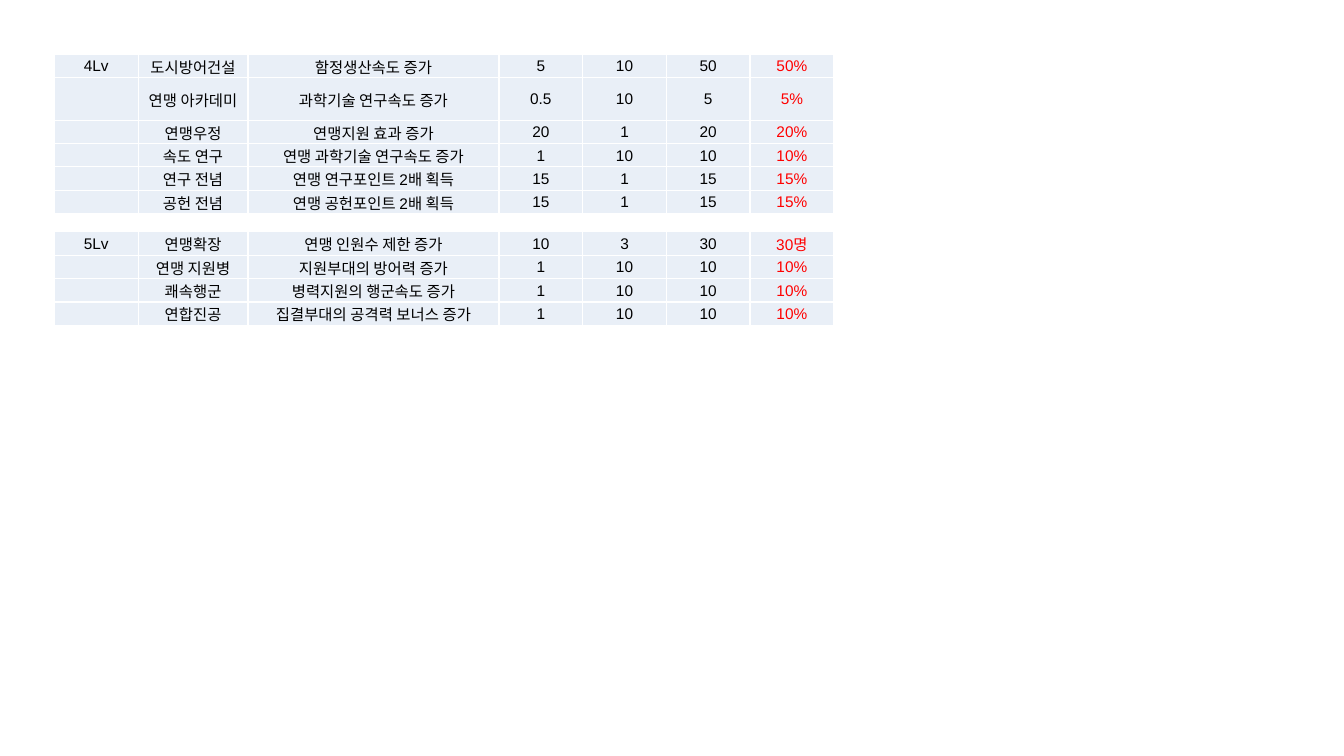
import dataclasses

import pptx
import pptx.dml.color
import pptx.enum.text
import pptx.oxml.ns
import pptx.util
from lxml import etree

Inches = pptx.util.Inches
Pt = pptx.util.Pt
qn = pptx.oxml.ns.qn


@dataclasses.dataclass(frozen=True)
class Theme:
    font: str = "Arial"
    size: int = 11
    text: str = "000000"
    accent: str = "FF0000"
    cell: str = "E9EFF7"
    border: str = "FFFFFF"
    border_width: int = 1


class Deck:
    """Holds the style and the current slide."""

    def __init__(self, prs, theme):
        self.theme = theme
        self.slide = prs.slides.add_slide(prs.slide_layouts[6])

    def table(self, left, top, widths, heights, rows):
        frame = self.slide.shapes.add_table(
            len(rows), len(widths), Inches(left), Inches(top),
            Inches(sum(widths)), Inches(sum(heights)))
        table = frame.table
        table.first_row = table.horz_banding = False
        for column, width in zip(table.columns, widths):
            column.width = Inches(width)
        # The last column is accented
        colors = [self.theme.text] * (len(widths) - 1) + [self.theme.accent]
        for row, height, values in zip(table.rows, heights, rows):
            row.height = Inches(height)
            for cell, value, color in zip(row.cells, values, colors):
                self.cell(cell, value, color)

    def cell(self, cell, text, color):
        self.borders(cell)
        cell.fill.solid()
        cell.fill.fore_color.rgb = pptx.dml.color.RGBColor.from_string(self.theme.cell)
        cell.vertical_anchor = pptx.enum.text.MSO_ANCHOR.MIDDLE
        cell.margin_left = cell.margin_top = cell.margin_right = Inches(0.01)
        cell.margin_bottom = 0
        cell.text_frame.text = text
        p = cell.text_frame.paragraphs[0]
        p.alignment = pptx.enum.text.PP_ALIGN.CENTER
        for r in p.runs:
            r.font.name = self.theme.font
            r.font.size = Pt(self.theme.size)
            r.font.color.rgb = pptx.dml.color.RGBColor.from_string(color)
        if not text:
            # An empty cell keeps the text size, so its row stays low
            etree.SubElement(p._p, qn("a:endParaRPr"), sz=str(self.theme.size * 100))

    def borders(self, cell):
        tc_pr = cell._tc.get_or_add_tcPr()
        for side in "LRTB":
            line = etree.SubElement(tc_pr, qn(f"a:ln{side}"),
                                    w=str(int(Pt(self.theme.border_width))))
            fill = etree.SubElement(line, qn("a:solidFill"))
            etree.SubElement(fill, qn("a:srgbClr"), val=self.theme.border)


def skill_rows(level, skills):
    """Total is the gain per step times the number of steps."""
    rows = []
    for i, (name, effect, gain, steps, unit) in enumerate(skills):
        total = f"{gain * steps:g}"
        rows.append([level if i == 0 else "", name, effect,
                     f"{gain:g}", str(steps), total, total + unit])
    return rows


LEFT = 0.54
WIDTHS = [0.83, 1.09, 2.49] + [0.83] * 4
ROW = 0.21

# Skills: name, effect, gain per step, steps, unit
LEVEL_4 = [
    ("도시방어건설", "함정생산속도 증가", 5, 10, "%"),
    ("연맹 아카데미", "과학기술 연구속도 증가", 0.5, 10, "%"),
    ("연맹우정", "연맹지원 효과 증가", 20, 1, "%"),
    ("속도 연구", "연맹 과학기술 연구속도 증가", 1, 10, "%"),
    ("연구 전념", "연맹 연구포인트 2배 획득", 15, 1, "%"),
    ("공헌 전념", "연맹 공헌포인트 2배 획득", 15, 1, "%"),
]
LEVEL_5 = [
    ("연맹확장", "연맹 인원수 제한 증가", 10, 3, "명"),
    ("연맹 지원병", "지원부대의 방어력 증가", 1, 10, "%"),
    ("쾌속행군", "병력지원의 행군속도 증가", 1, 10, "%"),
    ("연합진공", "집결부대의 공격력 보너스 증가", 1, 10, "%"),
]

prs = pptx.Presentation()
prs.slide_width, prs.slide_height = Inches(13.33), Inches(7.5)
deck = Deck(prs, Theme())

# Level 5 table, then level 4 table with its taller second row
deck.table(LEFT, 2.3, WIDTHS, [ROW] * 4, skill_rows("5Lv", LEVEL_5))
deck.table(LEFT, 0.54, WIDTHS, [ROW, 2 * ROW] + [ROW] * 4, skill_rows("4Lv", LEVEL_4))

prs.save("out.pptx")
